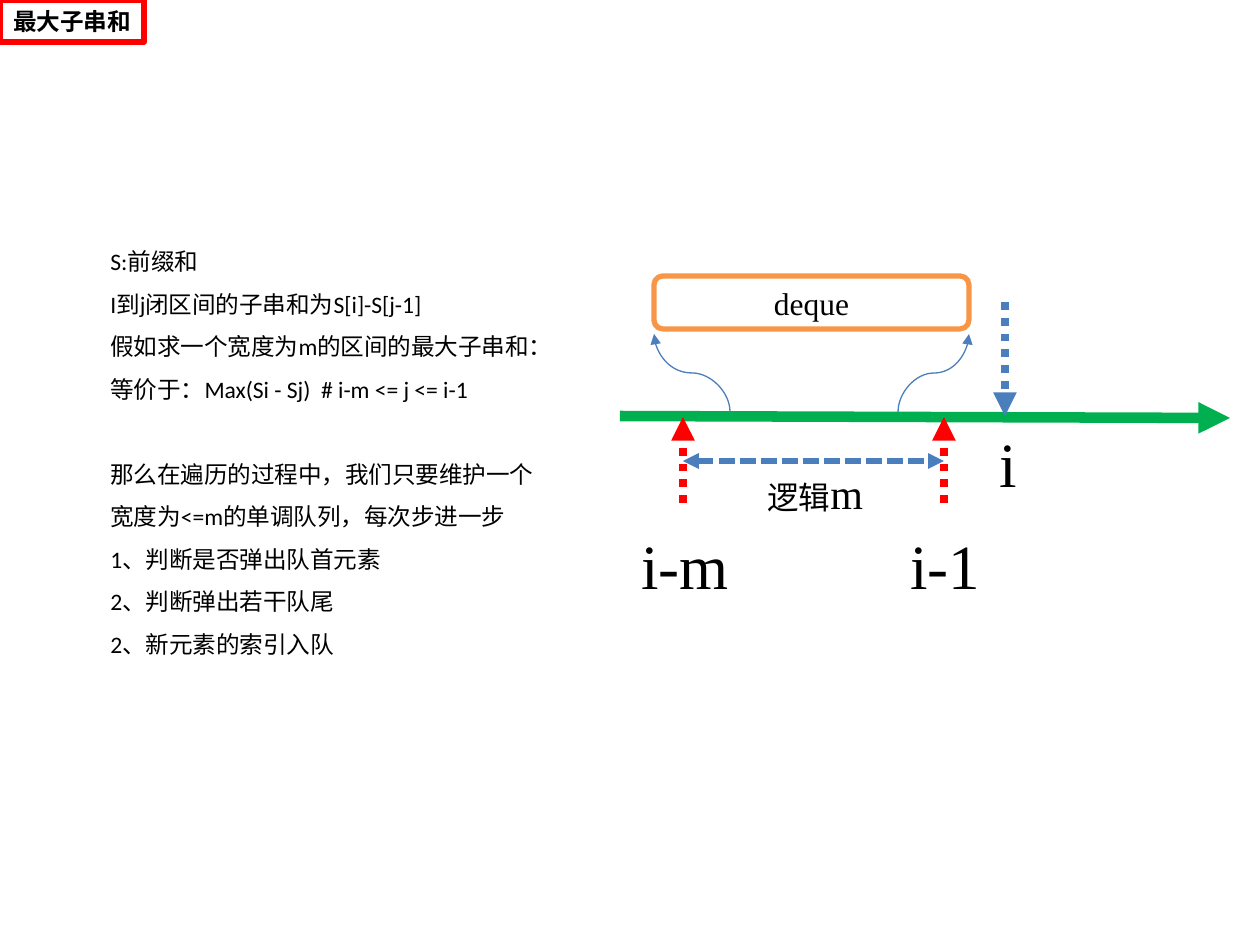
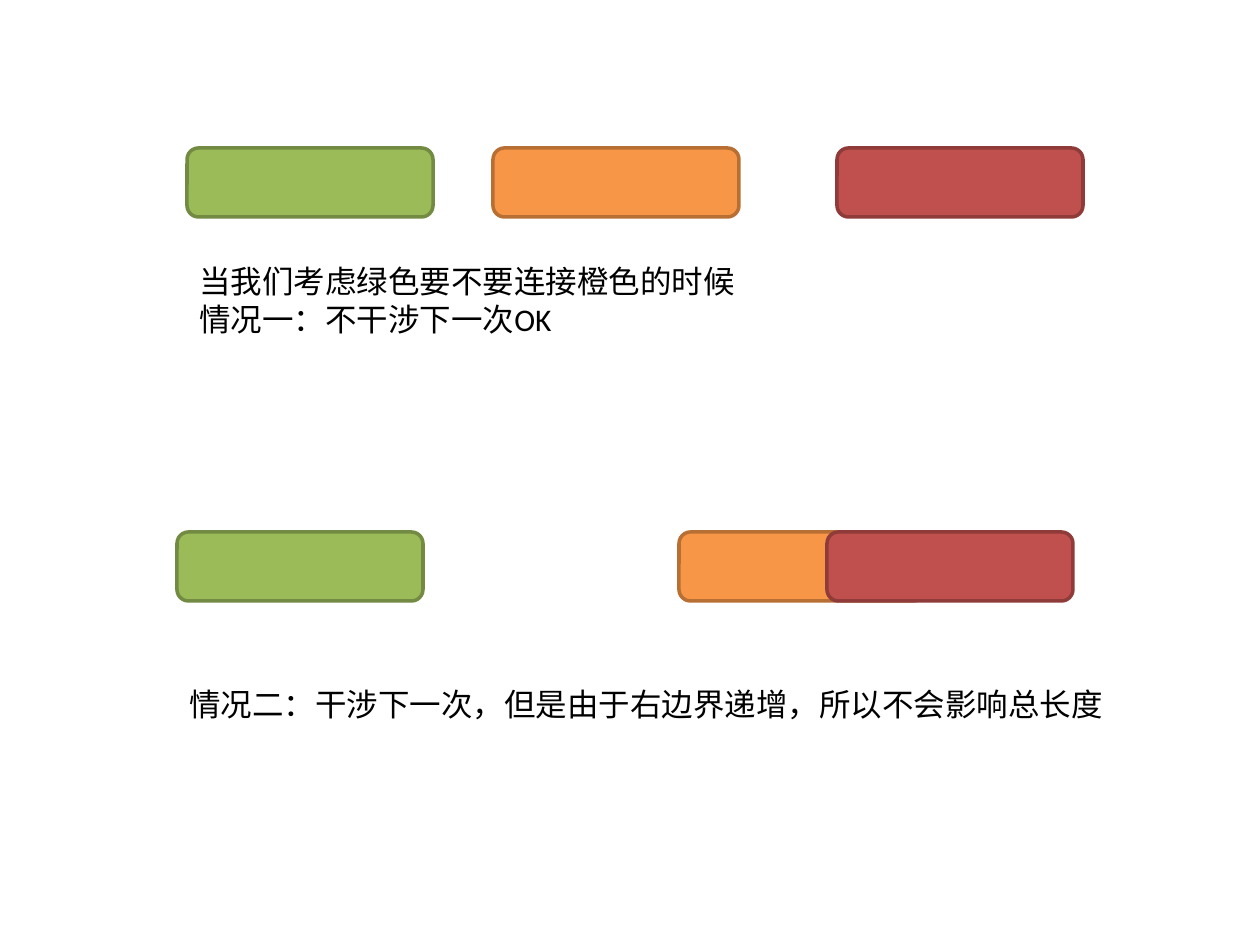
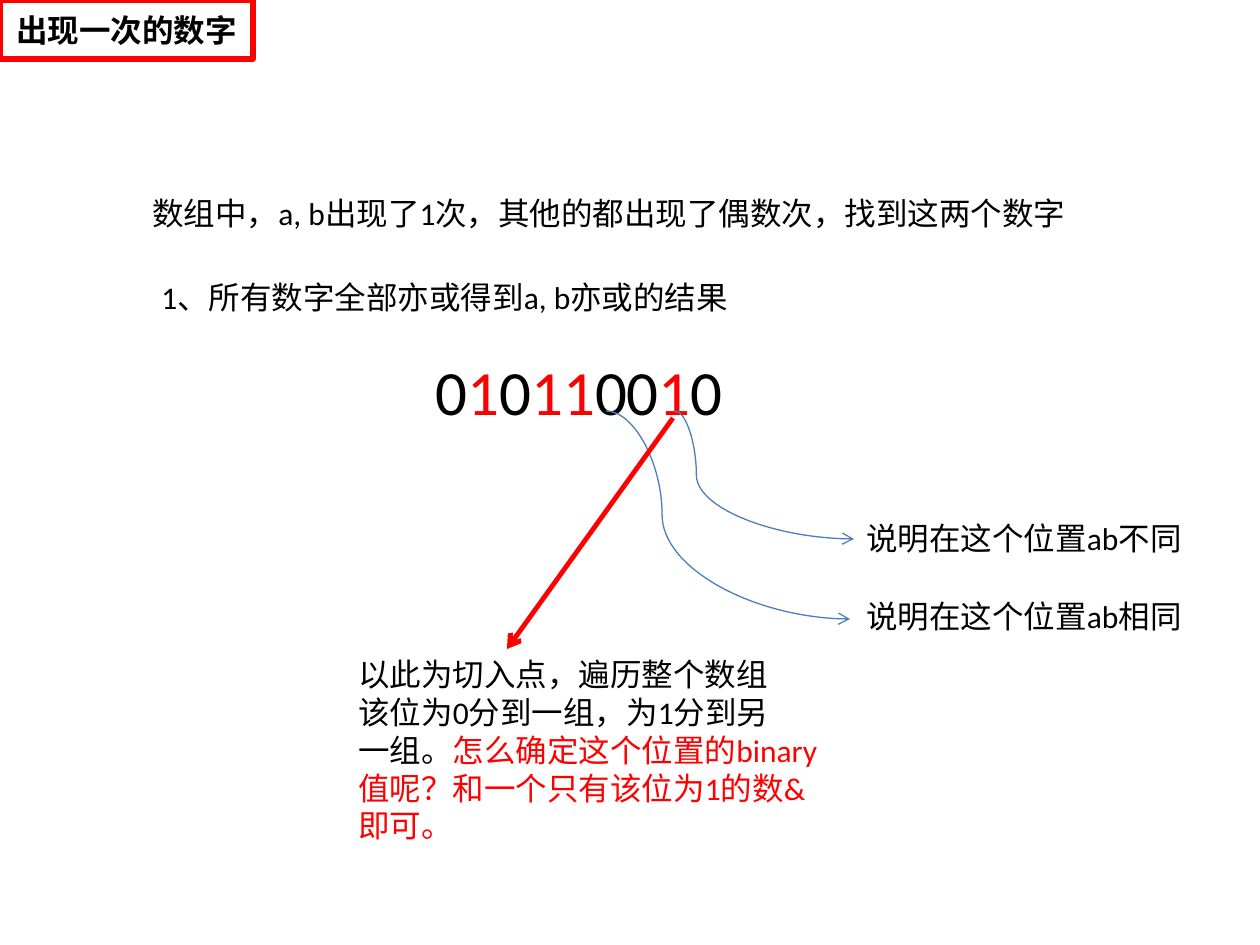
from lxml.etree import SubElement
from pptx import Presentation
from pptx.dml.color import RGBColor
from pptx.enum.dml import MSO_LINE
from pptx.enum.shapes import MSO_CONNECTOR, MSO_SHAPE
from pptx.enum.text import MSO_ANCHOR as ANCHOR, MSO_AUTO_SIZE as AUTOSIZE, PP_ALIGN as ALIGN
from pptx.oxml.ns import qn
from pptx.util import Emu, Inches, Pt

PIXEL = 914400 / 126
BLACK = RGBColor(0x00, 0x00, 0x00)
WHITE = RGBColor(0xFF, 0xFF, 0xFF)
RED = RGBColor(0xFF, 0x00, 0x00)
BLUE = RGBColor(0x4B, 0x7E, 0xBC)
AXIS_GREEN = RGBColor(0x00, 0xB0, 0x50)
GREEN = RGBColor(0x9B, 0xBB, 0x59)
GREEN_EDGE = RGBColor(0x73, 0x8A, 0x42)
ORANGE = RGBColor(0xF7, 0x96, 0x46)
ORANGE_EDGE = RGBColor(0xB7, 0x6F, 0x34)
BRICK = RGBColor(0xC0, 0x50, 0x4D)
BRICK_EDGE = RGBColor(0x8E, 0x3B, 0x39)
SANS = "Calibri"
SERIF = "Times New Roman"
CJK = "Noto Sans CJK SC"
TITLE_ONLY, BLANK = 5, 6


def px(value):
    return Emu(round(value * PIXEL))


def add_span(para, text, size, font=SANS, color=BLACK, bold=False):
    span = para.add_run()
    span.text = text
    span.font.size = Pt(size)
    span.font.name = font
    span.font.bold = bold
    span.font.color.rgb = color


def add_text(page, left, top, width, height, lines, size=18, font=SANS, wrap=False):
    box = page.shapes.add_textbox(px(left), px(top), px(width), px(height))
    frame = box.text_frame
    frame.word_wrap = wrap
    frame.auto_size = AUTOSIZE.SHAPE_TO_FIT_TEXT
    for index, line in enumerate(lines):
        para = frame.paragraphs[0] if index == 0 else frame.add_paragraph()
        for text, color in [(line, BLACK)] if isinstance(line, str) else line:
            add_span(para, text, size, font, color)
    return frame


def add_bar(page, left, top, width, height, fill, edge, weight):
    bar = page.shapes.add_shape(MSO_SHAPE.ROUNDED_RECTANGLE, px(left), px(top), px(width), px(height))
    bar.shadow.inherit = False
    bar.fill.solid()
    bar.fill.fore_color.rgb = fill
    bar.line.color.rgb = edge
    bar.line.width = Pt(weight)
    return bar


def add_arrow(page, start, end, color, weight, dash=None, head=None, tail="triangle",
              kind=MSO_CONNECTOR.STRAIGHT):
    arrow = page.shapes.add_connector(kind, *map(px, (*start, *end)))
    arrow.line.color.rgb = color
    arrow.line.width = Pt(weight)
    if dash:
        arrow.line.dash_style = dash
    outline = arrow.line._get_or_add_ln()
    for tag, style in (("a:headEnd", head), ("a:tailEnd", tail)):
        if style:
            SubElement(outline, qn(tag), type=style)
    SubElement(arrow._element.spPr, qn("a:effectLst"))
    return arrow


def add_curve(page, start, end, bend, tail):
    curve = add_arrow(page, start, end, BLUE, 0.75, tail=tail, kind=MSO_CONNECTOR.CURVE)
    guides = curve._element.spPr.find(qn("a:prstGeom")).get_or_add_avLst()
    SubElement(guides, qn("a:gd"), name="adj1", fmla=f"val {round(bend * 100000)}")
    return curve


def add_rising_curve(page, start, end):
    (x1, y1), (x2, y2) = start, end
    middle_x, middle_y = (x1 + x2) / 2, (y1 + y2) / 2
    rise, run = y1 - y2, x2 - x1
    curve = add_curve(page, (middle_x - rise / 2, middle_y - run / 2),
                      (middle_x + rise / 2, middle_y + run / 2), 0.5, "triangle")
    curve._element.spPr.find(qn("a:xfrm")).set("rot", str(270 * 60000))


def add_tag(page, width, height, text, size, font):
    tag = page.shapes.title
    tag.left, tag.top, tag.width, tag.height = px(0), px(0), px(width), px(height)
    tag.fill.solid()
    tag.fill.fore_color.rgb = WHITE
    tag.line.color.rgb = RED
    tag.line.width = Pt(3)
    frame = tag.text_frame
    frame.word_wrap = False
    frame.auto_size = AUTOSIZE.NONE
    frame.vertical_anchor = ANCHOR.MIDDLE
    para = frame.paragraphs[0]
    para.alignment = ALIGN.CENTER
    add_span(para, text, size, font, bold=True)


def add_explanation(page, left, top, width, height):
    premise = ["S:前缀和", "I到j闭区间的子串和为S[i]-S[j-1]",
               "假如求一个宽度为m的区间的最大子串和：",
               "等价于：Max(Si - Sj)  # i-m <= j <= i-1"]
    steps = ["那么在遍历的过程中，我们只要维护一个", "宽度为<=m的单调队列，每次步进一步",
             "1、判断是否弹出队首元素", "2、判断弹出若干队尾", "2、新元素的索引入队"]
    frame = add_text(page, left, top, width, height, premise + steps, 13.5)
    for para in frame.paragraphs:
        para.line_spacing = 1.5
    frame.paragraphs[len(premise)].space_before = Pt(24.3)


def add_window_diagram(page, left, top, width):
    def at(x, y):
        return left + x, top + y

    window_start, window_end, current, axis = 63, 324, 385, 140
    add_arrow(page, at(0, axis), at(width, axis + 2), AXIS_GREEN, 6)
    add_arrow(page, at(current, 26), at(current, axis), BLUE, 4.5, MSO_LINE.ROUND_DOT)
    for x in (window_start, window_end):
        add_arrow(page, at(x, axis + 87), at(x, axis + 1), RED, 4.5, MSO_LINE.ROUND_DOT)
    add_arrow(page, at(window_start, 185), at(window_end, 185), BLUE, 3,
              MSO_LINE.SQUARE_DOT, head="triangle")
    for text, x, y, label_width in (("i", 367, 142, 44), ("i-1", 278, 244, 98), ("i-m", 9, 244, 116)):
        add_text(page, *at(x, y), label_width, 89, [text], 36, SERIF)
    caption = add_text(page, *at(135, 185), 160, 63, ["逻辑"], 18, SERIF, wrap=True)
    add_span(caption.paragraphs[0], "m", 24, SERIF)

    queue = add_bar(page, *at(34, 0), 315, 53, WHITE, ORANGE, 3)
    queue.text_frame.vertical_anchor = ANCHOR.MIDDLE
    para = queue.text_frame.paragraphs[0]
    para.alignment = ALIGN.CENTER
    add_span(para, "deque", 18, SERIF)
    for foot, tip in ((110, 34), (278, 349)):
        add_rising_curve(page, at(foot, 136), at(tip, 58))


def add_case(page, left, top, offsets, lines, text_top, text_width, text_height):
    colors = ((GREEN, GREEN_EDGE), (ORANGE, ORANGE_EDGE), (BRICK, BRICK_EDGE))
    for offset, (fill, edge) in zip(offsets, colors):
        add_bar(page, left + offset, top, 246, 69, fill, edge, 2)
    add_text(page, left, top + text_top, text_width, text_height, lines)


def add_bit_diagram(page, left, top):
    def at(x, y):
        return left + x, top + y

    digits = [(group, RED if "1" in group else BLACK)
              for group in ("0", "1", "0", "11", "00", "1", "0")]
    add_text(page, *at(77, 0), 318, 89, [digits], 36)
    meanings = (("说明在这个位置ab不同", 167, (329, 65), (508, 193), 0.12),
                ("说明在这个位置ab相同", 245, (260, 65), (504, 273), 0.23))
    for text, y, start, end, bend in meanings:
        add_curve(page, at(*start), at(*end), bend, "arrow")
        add_text(page, *at(508, y), 340, 50, [text], wrap=True)
    add_arrow(page, at(327, 72), at(161, 303), RED, 2.75, tail="arrow")
    add_text(page, *at(0, 303), 484, 203, [
        "以此为切入点，遍历整个数组",
        "该位为0分到一组，为1分到另",
        [("一组。", BLACK), ("怎么确定这个位置的binary", RED)],
        [("值呢？和一个只有该位为1的数&", RED)],
        [("即可。", RED)],
    ], wrap=True)


def build_substring_page(deck):
    page = deck.slides.add_slide(deck.slide_layouts[TITLE_ONLY])
    add_tag(page, 144, 42, "最大子串和", 13.5, CJK)
    add_explanation(page, 98, 227, 472, 442)
    add_window_diagram(page, 620, 276, 610)


def build_interval_page(deck):
    page = deck.slides.add_slide(deck.slide_layouts[BLANK])
    add_case(page, 187, 148, (0, 306, 650),
             ["当我们考虑绿色要不要连接橙色的时候", "情况一：不干涉下一次OK"], 108, 561, 127)
    add_case(page, 177, 532, (0, 502, 650),
             ["情况二：干涉下一次，但是由于右边界递增，所以不会影响总长度"], 147, 948, 89)


def build_single_number_page(deck):
    page = deck.slides.add_slide(deck.slide_layouts[TITLE_ONLY])
    add_tag(page, 253, 59, "出现一次的数字", 18, SANS)
    add_text(page, 140, 188, 939, 50,
             ["数组中，a, b出现了1次，其他的都出现了偶数次，找到这两个数字"], wrap=True)
    add_text(page, 149, 272, 592, 50, ["1、所有数字全部亦或得到a, b亦或的结果"], wrap=True)
    add_bit_diagram(page, 346, 346)


deck = Presentation()
deck.slide_width, deck.slide_height = Inches(10), Inches(7.5)
build_substring_page(deck)
build_interval_page(deck)
build_single_number_page(deck)
deck.save("out.pptx")
